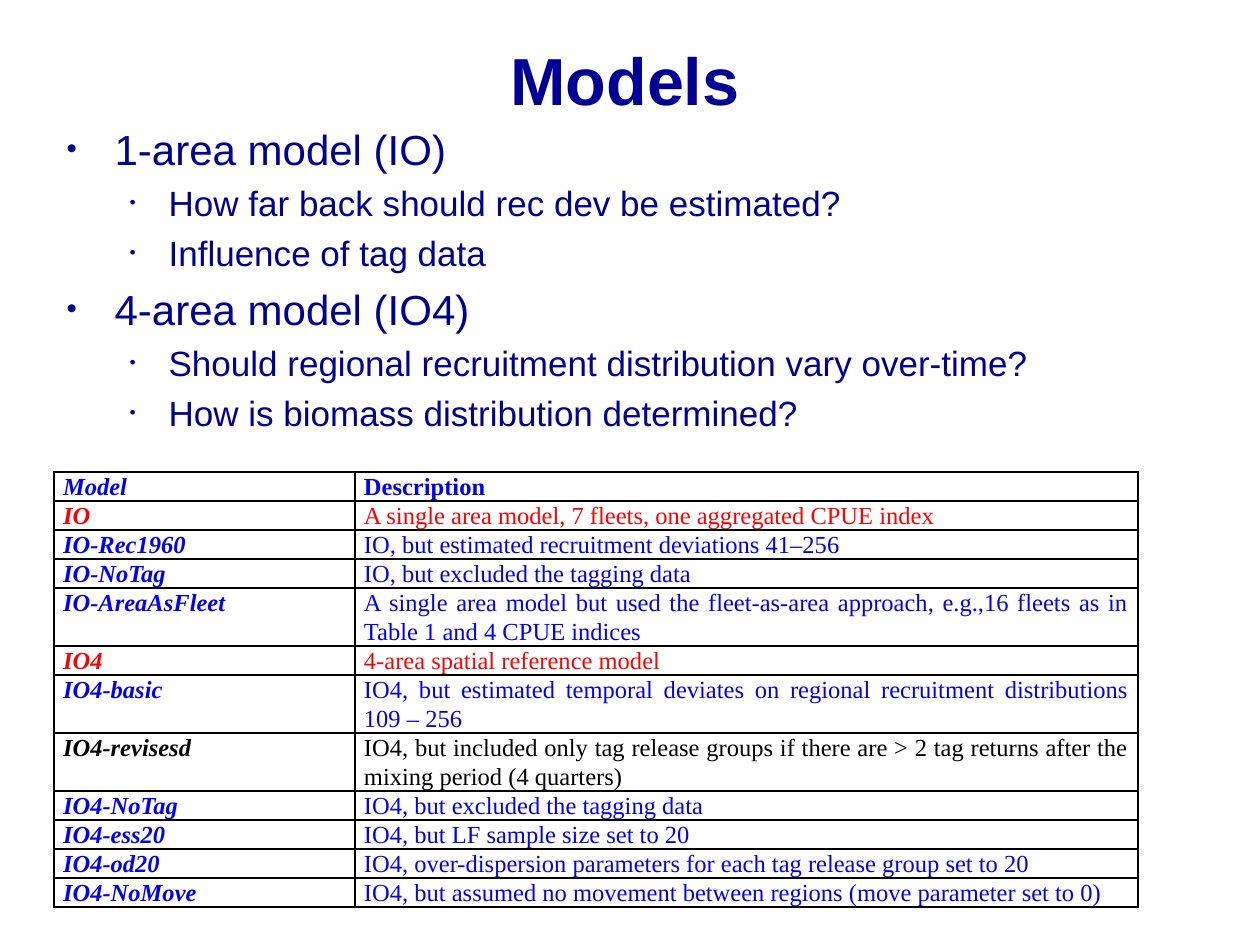
from lxml import etree
from pptx import Presentation
from pptx.dml.color import RGBColor
from pptx.enum.text import MSO_ANCHOR, MSO_AUTO_SIZE, PP_ALIGN
from pptx.oxml.ns import qn
from pptx.util import Pt

CENTER, LEFT, JUSTIFY = PP_ALIGN.CENTER, PP_ALIGN.LEFT, PP_ALIGN.JUSTIFY
TOP, MIDDLE = MSO_ANCHOR.TOP, MSO_ANCHOR.MIDDLE
NO_FIT = MSO_AUTO_SIZE.NONE
SCALE = 914400 / 126
COLORS = {"navy": "000099", "blue": "0000FF", "red": "FF0000", "black": "000000"}
LEVELS = [
    {"size": 24, "before": 5.5, "bullet": 70, "margin": 48, "indent": -48},
    {"size": 20, "before": 4.6, "bullet": 50, "margin": 102, "indent": -39},
]
TOPICS = [
    (0, "1-area model (IO)"),
    (1, "How far back should rec dev be estimated?"),
    (1, "Influence of tag data"),
    (0, "4-area model (IO4)"),
    (1, "Should regional recruitment distribution vary over-time?"),
    (1, "How is biomass distribution determined?"),
]
MODELS = [
    ("Model", "Description", "blue", 1),
    ("IO", "A single area model, 7 fleets, one aggregated CPUE index", "red", 1),
    ("IO-Rec1960", "IO, but estimated recruitment deviations 41–256", "blue", 1),
    ("IO-NoTag", "IO, but excluded the tagging data", "blue", 1),
    ("IO-AreaAsFleet", "A single area model but used the fleet-as-area approach, "
     "e.g.,16 fleets as in Table 1 and 4 CPUE indices", "blue", 2),
    ("IO4", "4-area spatial reference model", "red", 1),
    ("IO4-basic", "IO4, but estimated temporal deviates on regional recruitment "
     "distributions 109 – 256", "blue", 2),
    ("IO4-revisesd", "IO4, but included only tag release groups if there are > 2 tag "
     "returns after the mixing period (4 quarters)", "black", 2),
    ("IO4-NoTag", "IO4, but excluded the tagging data", "blue", 1),
    ("IO4-ess20", "IO4, but LF sample size set to 20", "blue", 1),
    ("IO4-od20", "IO4, over-dispersion parameters for each tag release group set to 20",
     "blue", 1),
    ("IO4-NoMove", "IO4, but assumed no movement between regions "
     "(move parameter set to 0)", "blue", 1),
]


def px(value):
    """Turn pixels into EMU."""
    return round(value * SCALE)


def assign(target, **values):
    """Set each named attribute on the target."""
    for name, value in values.items():
        setattr(target, name, value)


class SlideBuilder:
    """Hold the style and the page that is being built."""

    def __init__(self, page, line_height=29):
        """Keep the page and the table line height."""
        self.page = page
        self.line_height = line_height

    def place(self, box, left, top, width, height):
        """Move and size a box."""
        assign(box, left=px(left), top=px(top), width=px(width), height=px(height))

    def span(self, paragraph, text, color, size, name, bold=False, italic=False):
        """Add one formatted span to a paragraph."""
        span = paragraph.add_run()
        span.text = text
        assign(span.font, size=Pt(size), name=name, bold=bold, italic=italic)
        span.font.color.rgb = RGBColor.from_string(COLORS[color])

    def title(self, text, *area):
        """Fill the title placeholder."""
        box = self.page.shapes.title
        self.place(box, *area)
        assign(box.text_frame, word_wrap=True, auto_size=NO_FIT, vertical_anchor=MIDDLE)
        paragraph = box.text_frame.paragraphs[0]
        paragraph.alignment = CENTER
        self.span(paragraph, text, "navy", 38, "Arial", bold=True)

    def bullets(self, topics, *area):
        """Fill the body placeholder with a two-level list."""
        box = self.page.placeholders[1]
        self.place(box, *area)
        frame = box.text_frame
        assign(frame, word_wrap=True, auto_size=NO_FIT, vertical_anchor=TOP, margin_top=px(10))
        for index, (level, text) in enumerate(topics):
            paragraph = frame.add_paragraph() if index else frame.paragraphs[0]
            style = LEVELS[level]
            before = Pt(style["before"] if index else 0)
            assign(paragraph, level=level, alignment=LEFT, space_before=before)
            properties = paragraph._p.get_or_add_pPr()
            properties.set("marL", str(px(style["margin"])))
            properties.set("indent", str(px(style["indent"])))
            etree.SubElement(properties, qn("a:buSzPct"), val=str(style["bullet"] * 1000))
            etree.SubElement(properties, qn("a:buFont"), typeface="Arial")
            etree.SubElement(properties, qn("a:buChar"), char="•")
            self.span(paragraph, text, "navy", style["size"], "Arial")

    def borders(self, cell):
        """Draw a thin black line on each side of a cell."""
        properties = cell._tc.get_or_add_tcPr()
        for index, side in enumerate(("a:lnL", "a:lnR", "a:lnT", "a:lnB")):
            line = etree.Element(qn(side), w=str(Pt(1)))
            fill = etree.SubElement(line, qn("a:solidFill"))
            etree.SubElement(fill, qn("a:srgbClr"), val=COLORS["black"])
            properties.insert(index, line)

    def cell(self, cell, text, color, bold, italic):
        """Fill and format one table cell."""
        assign(cell, margin_left=px(9), margin_right=px(9), margin_top=0,
               margin_bottom=0, vertical_anchor=TOP)
        cell.fill.background()
        self.borders(cell)
        paragraph = cell.text_frame.paragraphs[0]
        assign(paragraph, alignment=JUSTIFY, line_spacing=1.07)
        self.span(paragraph, text, color, 14, "Times New Roman", bold, italic)

    def table(self, models, left, top, widths):
        """Add the table of models, with rows as tall as their lines."""
        height = sum(lines for *_, lines in models) * self.line_height
        frame = self.page.shapes.add_table(
            len(models), len(widths), px(left), px(top), px(sum(widths)), px(height))
        table = frame.table
        assign(table, first_row=False, horz_banding=False)
        for column, width in zip(table.columns, widths):
            column.width = px(width)
        for index, (model, description, color, lines) in enumerate(models):
            table.rows[index].height = px(lines * self.line_height)
            self.cell(table.cell(index, 0), model, color, True, True)
            self.cell(table.cell(index, 1), description, color, index == 0, False)


def main():
    """Build and save the deck."""
    deck = Presentation()
    assign(deck, slide_width=px(1260), slide_height=px(945))
    builder = SlideBuilder(deck.slides.add_slide(deck.slide_layouts[1]))
    builder.title("Models", 63, 0, 1124, 158)
    builder.bullets(TOPICS, 54, 113, 1206, 425)
    builder.table(MODELS, 54, 472, (301, 783))
    deck.save("out.pptx")


if __name__ == "__main__":
    main()
